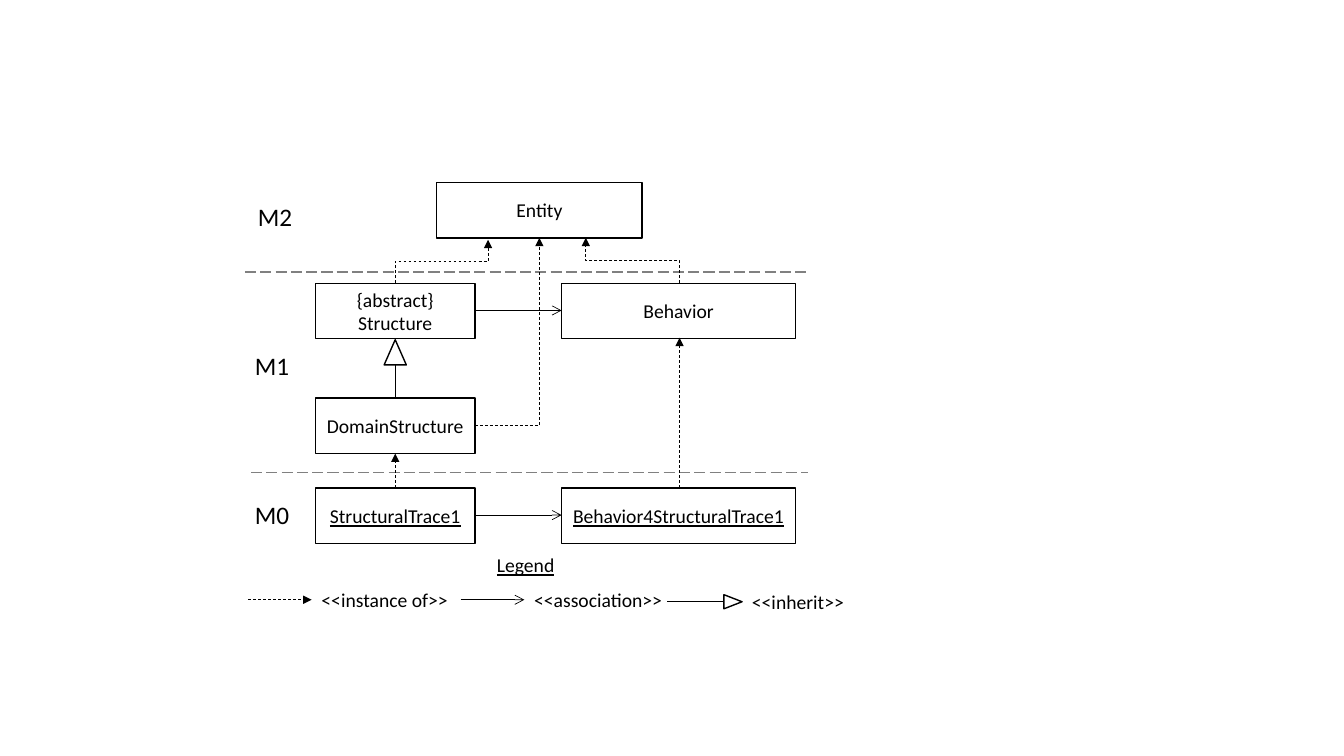
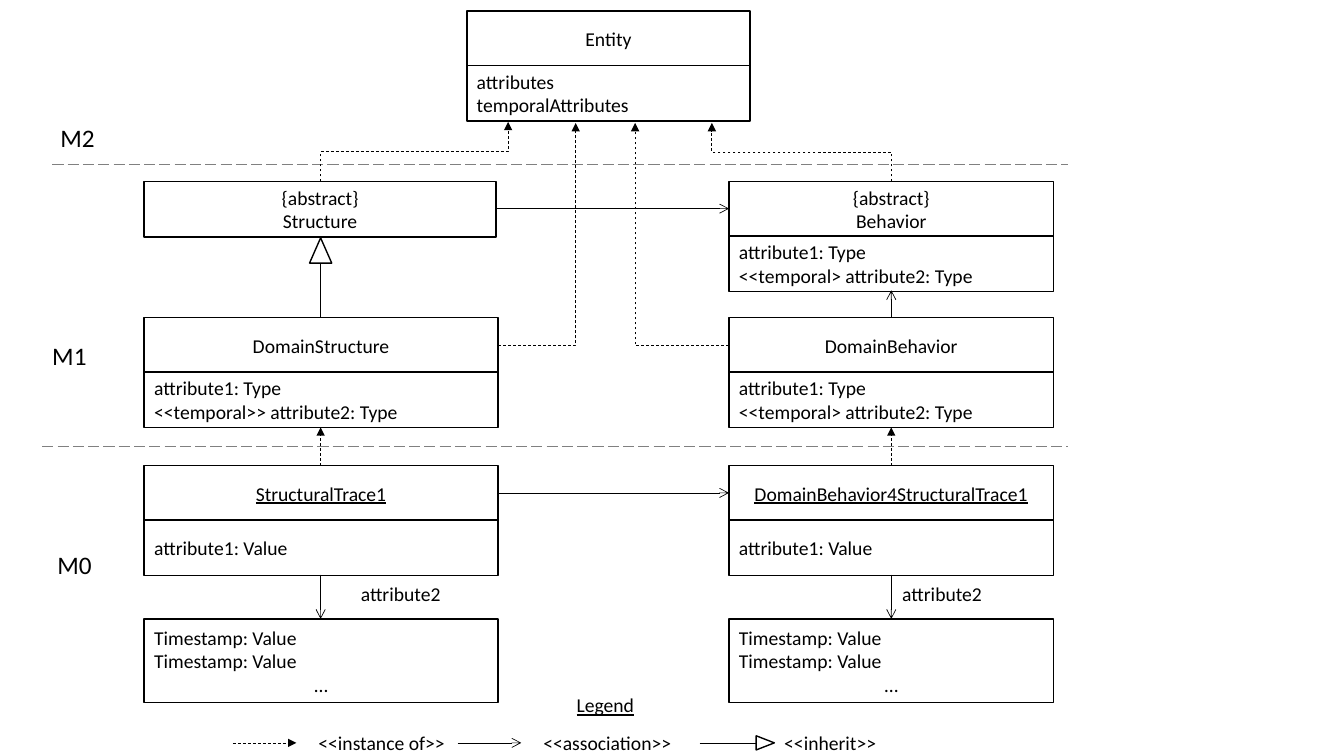
from pptx import Presentation
from pptx.dml.color import RGBColor
from pptx.enum.dml import MSO_LINE
from pptx.enum.shapes import MSO_CONNECTOR as Conn, MSO_SHAPE as Shape
from pptx.enum.text import MSO_ANCHOR as Anchor, PP_ALIGN as Align
from pptx.oxml.ns import qn
from pptx.util import Inches, Pt
from lxml.etree import SubElement

COLORS = {"ink": "000000", "paper": "FFFFFF", "divider": "808080"}
FONT = {"name": "Calibri", "size": Pt(14)}
LEVEL_FONT = {"size": Pt(18)}
UNDERLINED = {"underline": True}
BOX_FRAME = {"word_wrap": True, "vertical_anchor": Anchor.MIDDLE}
LABEL_FRAME = {"word_wrap": True, "vertical_anchor": Anchor.TOP}
LINES = {
    "association": {"width": Pt(0.5)},
    "instance": {"width": Pt(0.5), "dash_style": MSO_LINE.DASH},
    "inherit": {"width": Pt(1)},
    "inherit key": {"width": Pt(0.5)},
    "divider": {"width": Pt(1), "dash_style": MSO_LINE.LONG_DASH},
}
HEADS = {"association": "arrow", "instance": "triangle"}
BOX_HEIGHT, ROW_STEP = 0.55, 0.54
HEAD_WIDTH, HEAD_HEIGHT = 0.22, 0.25
KEY_LENGTH = 0.63


def apply(target, values):
    """Set each named attribute on the target."""
    for name, value in values.items():
        setattr(target, name, value)


def color(name):
    """Return a palette colour."""
    return RGBColor.from_string(COLORS[name])


def write(frame, lines, align=Align.LEFT, font=None):
    """Fill a text frame with one paragraph per line."""
    for index, line in enumerate(lines):
        paragraph = frame.paragraphs[0] if index == 0 else frame.add_paragraph()
        paragraph.alignment = Align.CENTER if line == "…" else align
        run = paragraph.add_run()
        run.text = line
        apply(run.font, {**FONT, **(font or {})})
        run.font.color.rgb = color("ink")


def outlined(slide, kind, x, y, width, height):
    """Add a white shape with a black outline."""
    shape = slide.shapes.add_shape(kind, *map(Inches, (x, y, width, height)))
    shape.shadow.inherit = False
    shape.fill.solid()
    shape.fill.fore_color.rgb = color("paper")
    shape.line.color.rgb = color("ink")
    shape.line.width = Pt(1)
    return shape


def box(slide, x, y, width, lines, height=BOX_HEIGHT, align=Align.LEFT, font=None):
    """Add a rectangle with text."""
    frame = outlined(slide, Shape.RECTANGLE, x, y, width, height).text_frame
    apply(frame, BOX_FRAME)
    write(frame, lines, align, font)


def entity(slide, x, y, width, title, attributes=(), font=None):
    """Add a titled box with an optional attribute compartment."""
    box(slide, x, y, width, title, align=Align.CENTER, font=font)
    if attributes:
        box(slide, x, y + ROW_STEP, width, attributes)


def label(slide, x, y, width, text, font=None, height=0.34):
    """Add a free-standing line of text."""
    frame = slide.shapes.add_textbox(*map(Inches, (x, y, width, height))).text_frame
    apply(frame, LABEL_FRAME)
    write(frame, [text], font=font)


def link(slide, kind, start, end, route=Conn.STRAIGHT):
    """Add a connector in the style of its relation."""
    connector = slide.shapes.add_connector(route, *map(Inches, (*start, *end)))
    connector.line.color.rgb = color("divider" if kind == "divider" else "ink")
    apply(connector.line, LINES[kind])
    properties = connector._element.spPr
    if kind in HEADS:
        SubElement(properties.find(qn("a:ln")), qn("a:tailEnd"), type=HEADS[kind])
    SubElement(properties, qn("a:effectLst"))
    return properties


def corner(slide, start, end):
    """Add an instance arrow that leaves sideways and then goes up."""
    properties = link(slide, "instance", start, end, Conn.ELBOW)
    properties.find(qn("a:prstGeom")).set("prst", "bentConnector2")


def step(slide, start, end):
    """Add an instance arrow that goes up, sideways and up again."""
    (x1, y1), (x2, y2) = start, end
    side = 1 if x2 > x1 else -1
    middle_x, middle_y = (x1 + x2) / 2, (y1 + y2) / 2
    half_rise, half_run = side * (y1 - y2) / 2, abs(x2 - x1) / 2
    properties = link(slide, "instance",
                      (middle_x + half_rise, middle_y + half_run),
                      (middle_x - half_rise, middle_y - half_run), Conn.ELBOW)
    degrees = 90 if side > 0 else 270
    properties.find(qn("a:xfrm")).set("rot", str(degrees * 60000))


def inherit(slide, x, child_top, parent_bottom):
    """Add an upward inheritance arrow."""
    top = parent_bottom + 0.01
    outlined(slide, Shape.ISOSCELES_TRIANGLE, x - HEAD_WIDTH / 2, top, HEAD_WIDTH, HEAD_HEIGHT)
    link(slide, "inherit", (x, child_top), (x, top + HEAD_HEIGHT))


def levels(slide, names, dividers):
    """Add the level names and the dashed lines between them."""
    for name, x, y in names:
        label(slide, x, y, 0.87, name, LEVEL_FONT, 0.4)
    for left, right, y in dividers:
        link(slide, "divider", (left, y), (right, y))


def legend(slide, title_x, title_y, keys):
    """Add the legend title and one key per relation."""
    label(slide, title_x, title_y, 2.43, "Legend", UNDERLINED)
    for kind, text, x, y, text_x in keys:
        link(slide, kind, (x, y), (x + KEY_LENGTH, y))
        label(slide, text_x, y - 0.17, 1.9, text)
        if kind == "inherit key":
            head = outlined(slide, Shape.ISOSCELES_TRIANGLE, x + 0.58, y - 0.09, 0.14, 0.18)
            head.rotation = 90


def overview(slide):
    """Draw the entities without attributes."""
    left, right, left_width, right_width = 3.13, 5.57, 1.58, 2.32
    left_end, left_middle, right_middle = 4.71, 3.92, 6.74
    levels(slide, [("M2", 2.46, 1.95), ("M1", 2.43, 3.43), ("M0", 2.43, 4.9)],
           [(2.43, 8.01, 2.7), (2.49, 8.01, 4.69)])
    for x, y, width, title, font in [
        (4.33, 1.81, 2.04, ["Entity"], None),
        (left, 2.81, left_width, ["{abstract}", "Structure"], None),
        (right, 2.81, right_width, ["Behavior"], None),
        (left, 3.95, left_width, ["DomainStructure"], None),
        (left, 4.84, left_width, ["StructuralTrace1"], UNDERLINED),
        (right, 4.84, right_width, ["Behavior4StructuralTrace1"], UNDERLINED),
    ]:
        entity(slide, x, y, width, title, font=font)
    for y in (3.08, 5.11):
        link(slide, "association", (left_end, y), (right, y))
    for x, bottom in ((left_middle, 4.5), (right_middle, 3.35)):
        link(slide, "instance", (x, 4.84), (x, bottom))
    inherit(slide, left_middle, 3.95, 3.36)
    corner(slide, (left_end, 4.22), (5.35, 2.36))
    step(slide, (left_middle, 2.81), (4.84, 2.38))
    step(slide, (right_middle, 2.81), (5.81, 2.36))
    legend(slide, 4.83, 5.44, [
        ("instance", "<<instance of>>", 2.46, 5.95, 3.09),
        ("association", "<<association>>", 4.57, 5.95, 5.2),
        ("inherit key", "<<inherit>>", 6.62, 5.97, 7.36),
    ])


def detail(slide):
    """Draw the entities with their attributes."""
    left, right, left_width, right_width = 1.43, 7.23, 3.51, 3.22
    left_end, left_middle, right_middle = 4.94, 3.18, 8.84
    typed = ["attribute1: Type", "<<temporal>> attribute2: Type"]
    typed_behavior = ["attribute1: Type", "<<temporal> attribute2: Type"]
    valued = ["attribute1: Value"]
    levels(slide, [("M2", 0.5, 1.16), ("M1", 0.42, 3.33), ("M0", 0.47, 5.4)],
           [(0.52, 10.59, 1.63), (0.42, 10.59, 4.43)])
    for x, y, width, title, attributes, font in [
        (4.63, 0.11, 2.81, ["Entity"], ["attributes", "temporalAttributes"], None),
        (left, 1.8, 3.49, ["{abstract}", "Structure"], [], None),
        (right, 1.8, right_width, ["{abstract}", "Behavior"], typed_behavior, None),
        (left, 3.15, left_width, ["DomainStructure"], typed, None),
        (right, 3.15, right_width, ["DomainBehavior"], typed_behavior, None),
        (left, 4.62, left_width, ["StructuralTrace1"], valued, UNDERLINED),
        (right, 4.62, right_width, ["DomainBehavior4StructuralTrace1"], valued, UNDERLINED),
    ]:
        entity(slide, x, y, width, title, attributes, font)
    for x, width, middle, label_x in [
        (left, left_width, left_middle, 3.48),
        (right, right_width, right_middle, 8.85),
    ]:
        box(slide, x, 6.14, width, ["Timestamp: Value", "Timestamp: Value", "…"], 0.83)
        link(slide, "association", (middle, 5.7), (middle, 6.14))
        link(slide, "instance", (middle, 4.62), (middle, 4.24))
        label(slide, label_x, 5.72, 1.42, "attribute2")
    for start_x, y in ((4.92, 2.07), (left_end, 4.89)):
        link(slide, "association", (start_x, y), (right, y))
    link(slide, "association", (right_middle, 3.15), (right_middle, 2.88))
    inherit(slide, left_middle, 3.15, 2.35)
    corner(slide, (left_end, 3.43), (5.71, 1.22))
    corner(slide, (right, 3.43), (6.3, 1.22))
    step(slide, (left_middle, 1.8), (5.04, 1.21))
    step(slide, (right_middle, 1.8), (7.06, 1.22))
    legend(slide, 5.62, 6.83, [
        ("instance", "<<instance of>>", 2.31, 7.37, 3.06),
        ("association", "<<association>>", 4.54, 7.37, 5.29),
        ("inherit key", "<<inherit>>", 6.94, 7.37, 7.68),
    ])


def main():
    """Build and save the presentation."""
    deck = Presentation()
    apply(deck, {"slide_width": Inches(13.33), "slide_height": Inches(7.5)})
    for draw in (overview, detail):
        draw(deck.slides.add_slide(deck.slide_layouts[6]))
    deck.save("out.pptx")


if __name__ == "__main__":
    main()
